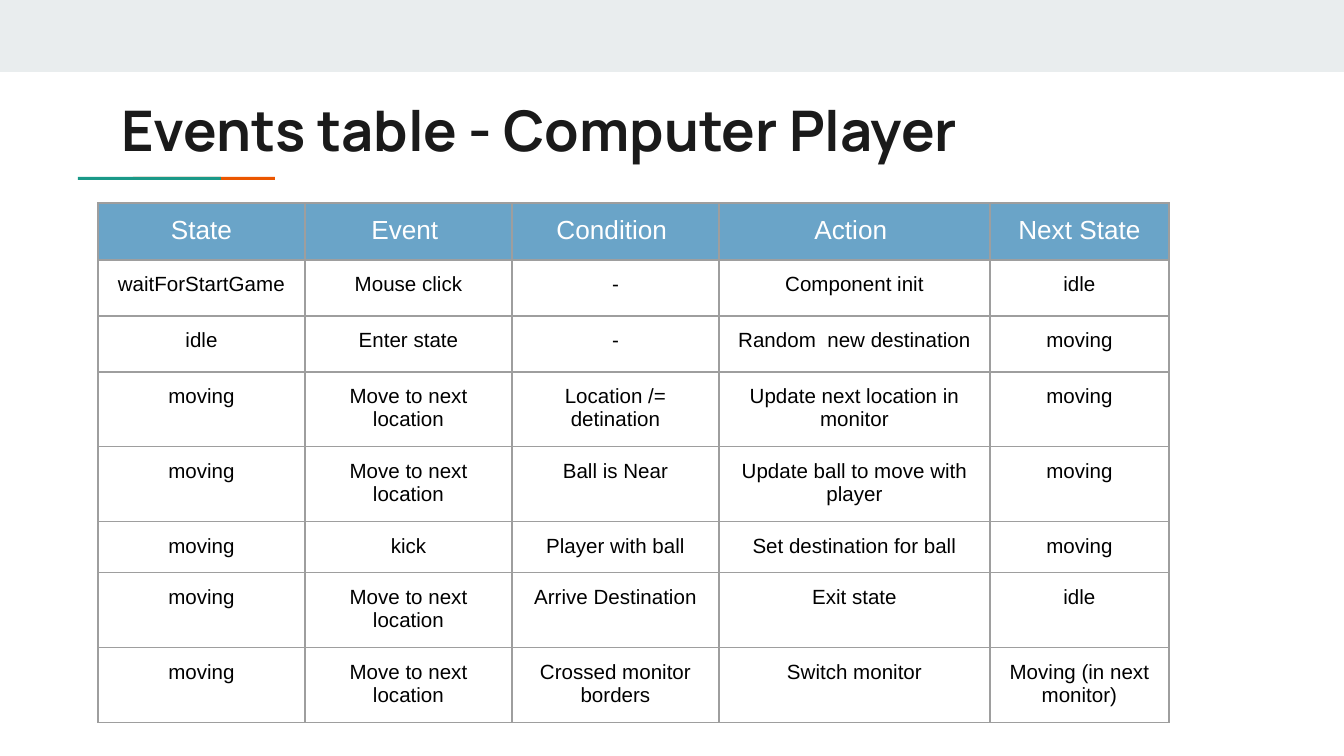
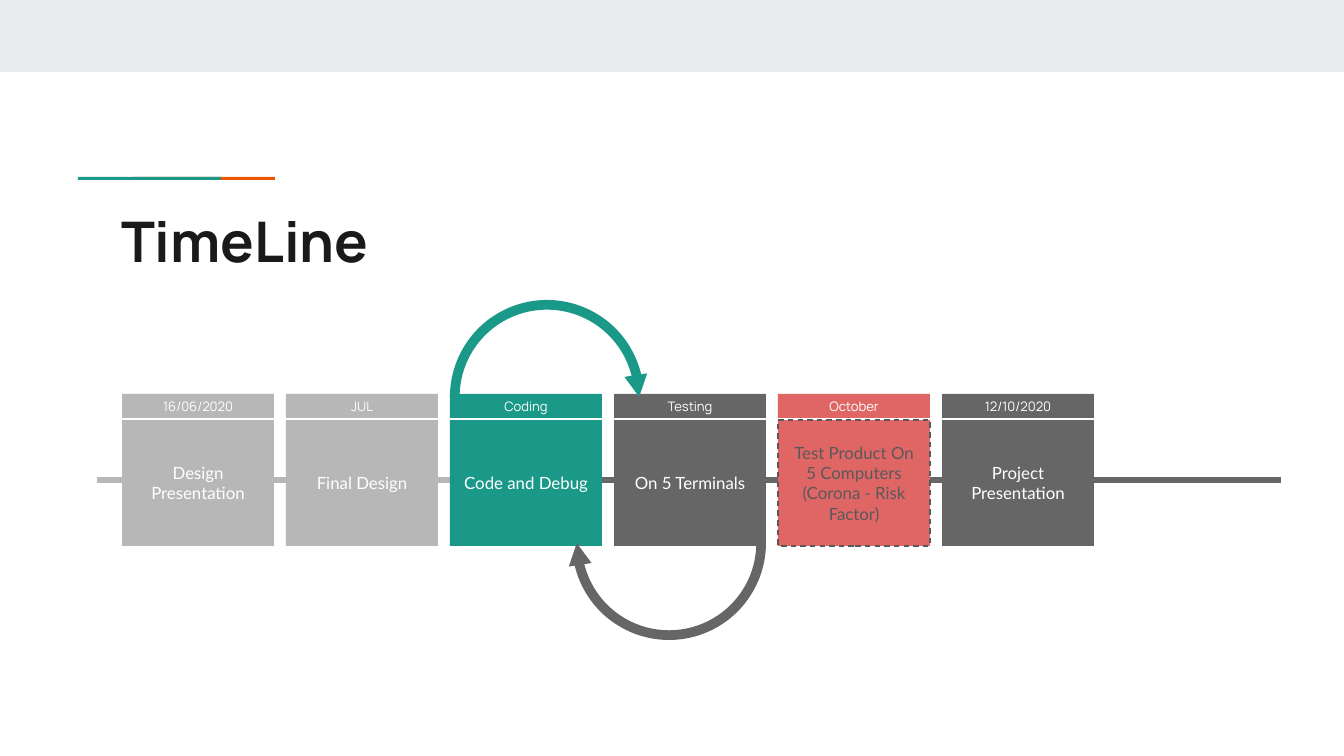
from lxml import etree
from pptx import Presentation
from pptx.dml.color import RGBColor
from pptx.enum.dml import MSO_LINE
from pptx.enum.shapes import MSO_CONNECTOR, MSO_SHAPE
from pptx.enum.text import MSO_ANCHOR, MSO_AUTO_SIZE, PP_ALIGN
from pptx.oxml.ns import qn
from pptx.util import Emu, Pt

RECT, ARC, TIP = MSO_SHAPE.RECTANGLE, MSO_SHAPE.BLOCK_ARC, MSO_SHAPE.ISOSCELES_TRIANGLE
STRAIGHT, DASH = MSO_CONNECTOR.STRAIGHT, MSO_LINE.DASH
LEFT, CENTER = PP_ALIGN.LEFT, PP_ALIGN.CENTER
TOP, MIDDLE = MSO_ANCHOR.TOP, MSO_ANCHOR.MIDDLE
NO_FIT = MSO_AUTO_SIZE.NONE

SCALE = 914400 / 134.4
WIDE, HIGH = 1344, 756
PAD = 13
HEAD, BODY, CELL = "Manrope", "Lato", "Arial"
COLORS = {
    "white": "FFFFFF", "black": "000000", "ink": "1A1A1A", "band": "E9EDEE",
    "teal": "1A9988", "orange": "EB5600", "blue": "6AA4C8", "rule": "9E9E9E",
    "light": "B7B7B7", "dark": "666666", "red": "E06666", "slate": "595959",
}

COLS = [207, 207, 207, 271, 179]
ROWS = [57, 56, 56, 75, 75, 51, 75, 75]
EVENTS = [
    ["State", "Event ", "Condition ", "Action ", "Next State"],
    ["waitForStartGame", "Mouse click", "-", "Component init", "idle"],
    ["idle", "Enter state", "-", "Random  new destination", "moving"],
    ["moving", "Move to next location", "Location /= detination",
     "Update next location in monitor", "moving"],
    ["moving", "Move to next location", "Ball is Near",
     "Update ball to move with player", "moving"],
    ["moving", "kick", "Player with ball", "Set destination for ball", "moving"],
    ["moving", "Move to next location", "Arrive Destination", "Exit state", "idle"],
    ["moving", "Move to next location", "Crossed monitor borders",
     "Switch monitor", "Moving (in next monitor)"],
]
STEPS = [
    ("16/06/2020", "Design Presentation", "light"),
    ("JUL", "Final Design", "light"),
    ("Coding", "Code and Debug", "teal"),
    ("Testing", "On 5 Terminals", "dark"),
    ("October", "Test Product On 5 Computers\n(Corona - Risk Factor)", "red"),
    ("12/10/2020", "Project Presentation", "dark"),
]


def px(*sizes):
    """Turn pixel lengths into EMU."""
    return [Emu(round(size * SCALE)) for size in sizes]


def paint(name):
    """Look up a named colour."""
    return RGBColor.from_string(COLORS[name])


def write(frame, text, font, size, color, align=CENTER, bold=False):
    """Fill a text frame, with a line break at each newline."""
    para = frame.paragraphs[0]
    para.alignment = align
    for index, part in enumerate(text.split("\n")):
        if index:
            para.add_line_break()
        run = para.add_run()
        run.text = part
        run.font.name, run.font.size, run.font.bold = font, Pt(size), bold
        run.font.color.rgb = paint(color)


def pad(item):
    """Set equal margins on a cell or text frame."""
    (gap,) = px(PAD)
    item.margin_left = item.margin_right = item.margin_top = item.margin_bottom = gap


def block(shapes, kind, box, color, turn=0):
    """Add a plain filled shape without outline."""
    shape = shapes.add_shape(kind, *px(*box))
    shape.shadow.inherit = False
    shape.fill.solid()
    shape.fill.fore_color.rgb = paint(color)
    shape.line.fill.background()
    shape.rotation = turn
    return shape


def label(shape, text, font, size, color):
    """Write centred text in a shape."""
    frame = shape.text_frame
    frame.word_wrap = True
    frame.vertical_anchor = MIDDLE
    pad(frame)
    write(frame, text, font, size, color)


def base(deck, text, top):
    """Add a slide with the band, the accent and a title."""
    slide = deck.slides.add_slide(deck.slide_layouts[5])
    block(slide.shapes, RECT, (0, 0, WIDE, 72), "band")
    accent = slide.shapes.add_group_shape().shapes
    block(accent, RECT, (133, 177, 142, 3), "orange")
    block(accent, RECT, (78, 177, 143, 3), "teal")
    title = slide.shapes.title
    title.left, title.top, title.width, title.height = px(108, top, 1130, 79)
    frame = title.text_frame
    frame.word_wrap, frame.auto_size, frame.vertical_anchor = True, NO_FIT, TOP
    pad(frame)
    write(frame, text, HEAD, 30, "ink", LEFT, True)
    return slide


def border(cell):
    """Draw the four thin borders of a cell."""
    props = cell._tc.get_or_add_tcPr()
    for side in ("a:lnL", "a:lnR", "a:lnT", "a:lnB"):
        line = etree.SubElement(props, qn(side), w=str(Pt(0.75)))
        fill = etree.SubElement(line, qn("a:solidFill"))
        etree.SubElement(fill, qn("a:srgbClr"), val=COLORS["rule"])


def grid(slide, left, top):
    """Place the table of events."""
    box = px(left, top, sum(COLS), sum(ROWS))
    table = slide.shapes.add_table(len(ROWS), len(COLS), *box).table
    table.first_row = table.horz_banding = False
    for col, width in zip(table.columns, px(*COLS)):
        col.width = width
    for row, height in zip(table.rows, px(*ROWS)):
        row.height = height
    for y, texts in enumerate(EVENTS):
        for x, text in enumerate(texts):
            cell = table.cell(y, x)
            pad(cell)
            border(cell)
            if y:
                cell.fill.background()
                write(cell.text_frame, text, CELL, 11, "black")
            else:
                cell.fill.solid()
                cell.fill.fore_color.rgb = paint("blue")
                write(cell.text_frame, text, CELL, 14, "white")


def track(slide, start, end, y, color):
    """Draw one stretch of the time axis."""
    line = slide.shapes.add_connector(STRAIGHT, *px(start, y, end, y))
    line.line.color.rgb = paint(color)
    line.line.width = Pt(3)
    etree.SubElement(line._element.spPr, qn("a:effectLst"))


def card(slide, left, top, date, text, color):
    """Place one step: a date strip over a box."""
    shapes = slide.shapes.add_group_shape().shapes
    body = block(shapes, RECT, (left, top + 26, 152, 126), color)
    risk = color == "red"
    if risk:
        body.line.color.rgb = paint("slate")
        body.line.width = Pt(0.75)
        body.line.dash_style = DASH
    label(body, text, BODY, 9, "slate" if risk else "white")
    strip = block(shapes, RECT, (left, top, 152, 24), color)
    label(strip, date, HEAD, 7, "white")


def loop(slide, left, top, tip, color, turn):
    """Place a curved arrow, with its tip offset from the arc's box."""
    shapes = slide.shapes.add_group_shape().shapes
    arc = block(shapes, ARC, (left, top, 194, 194), color, turn)
    for index, value in enumerate((108, 211.46, 0.05)):
        arc.adjustments[index] = value
    block(shapes, TIP, (left + tip[0], top + tip[1], 23, 22), color, turn + 171.1)


def events(deck):
    """Build the slide with the events table."""
    slide = base(deck, "Events table - Computer Player", 82)
    grid(slide, 98, 203)


def timeline(deck):
    """Build the slide with the time line."""
    slide = base(deck, "TimeLine", 194)
    track(slide, 598, 1281, 480, "dark")
    track(slide, 97, 570, 480, "light")
    for index, step in enumerate(STEPS):
        card(slide, 122 + 164 * index, 394, *step)
    loop(slide, 450, 300, (176, 75), "teal", 0)
    loop(slide, 572, 446, (-5, 97), "dark", 180)


def main():
    """Build and save the deck."""
    deck = Presentation()
    deck.slide_width, deck.slide_height = px(WIDE, HIGH)
    events(deck)
    timeline(deck)
    deck.save("out.pptx")


if __name__ == "__main__":
    main()
